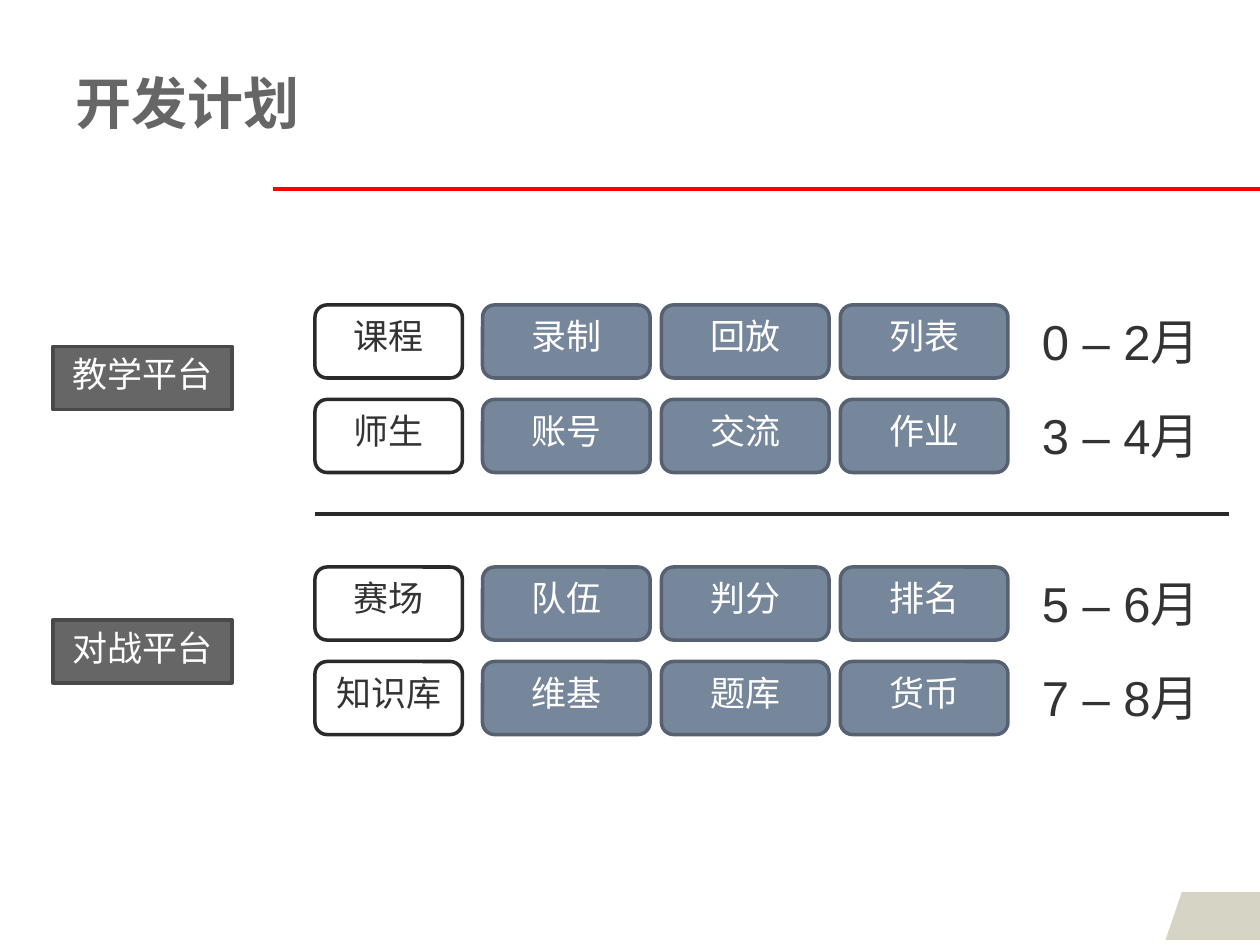
from dataclasses import dataclass

from lxml import etree
from pptx import Presentation
from pptx.dml.color import RGBColor
from pptx.enum.shapes import MSO_CONNECTOR, MSO_SHAPE
from pptx.enum.text import MSO_ANCHOR, MSO_AUTO_SIZE, PP_ALIGN
from pptx.oxml.ns import qn
from pptx.util import Inches, Pt

RECT, ROUND = MSO_SHAPE.RECTANGLE, MSO_SHAPE.ROUNDED_RECTANGLE
LINE = MSO_CONNECTOR.STRAIGHT
LEFT, CENTER = PP_ALIGN.LEFT, PP_ALIGN.CENTER
TOP, MIDDLE = MSO_ANCHOR.TOP, MSO_ANCHOR.MIDDLE
FIXED, GROW = MSO_AUTO_SIZE.NONE, MSO_AUTO_SIZE.SHAPE_TO_FIT_TEXT


@dataclass(frozen=True)
class Theme:
    font: str = "Arial"
    gray: str = "666666"
    edge: str = "494949"
    ink: str = "333333"
    dark: str = "2A2A2A"
    blue: str = "77879B"
    rim: str = "566271"
    white: str = "FFFFFF"
    red: str = "FF0000"
    sand: str = "C6C3AB"
    head: int = 32
    date: int = 28
    label: int = 20
    stroke: float = 2


THEME = Theme()

# Fill, line and text colour of each kind of box
STAGE = (THEME.gray, THEME.edge, THEME.white)
TOPIC = (THEME.white, THEME.dark, THEME.ink)
TASK = (THEME.blue, THEME.rim, THEME.white)

# Stage name, label top, top of first row, rows of topic, tasks and months
PLAN = [
    ("教学平台", 2.75, 2.42, [
        ("课程", ["录制", "回放", "列表"], "0 – 2月"),
        ("师生", ["账号", "交流", "作业"], "3 – 4月"),
    ]),
    ("对战平台", 4.92, 4.5, [
        ("赛场", ["队伍", "判分", "排名"], "5 – 6月"),
        ("知识库", ["维基", "题库", "货币"], "7 – 8月"),
    ]),
]
ROW_STEP, TASK_STEP = 0.75, 1.42


def rgb(code):
    return RGBColor.from_string(code)


def write(shape, text, size, color, align=LEFT, anchor=TOP, fit=FIXED,
          bold=False, wrap=True):
    frame = shape.text_frame
    frame.text = text
    layout = {
        "word_wrap": wrap, "auto_size": fit, "vertical_anchor": anchor,
        "margin_left": Inches(0.1), "margin_right": Inches(0.1),
        "margin_top": Inches(0.05), "margin_bottom": Inches(0.05),
    }
    for key, value in layout.items():
        setattr(frame, key, value)
    para = frame.paragraphs[0]
    para.alignment = align
    font = para.runs[0].font
    look = {"name": THEME.font, "size": Pt(size), "bold": bold}
    for key, value in look.items():
        setattr(font, key, value)
    font.color.rgb = rgb(color)
    return para


def add_box(slide, kind, area, text, style):
    fill, edge, ink = style
    box = slide.shapes.add_shape(kind, *map(Inches, area))
    box.shadow.inherit = False
    box.fill.solid()
    box.fill.fore_color.rgb = rgb(fill)
    box.line.color.rgb = rgb(edge)
    box.line.width = Pt(THEME.stroke)
    write(box, text, THEME.label, ink, align=CENTER)


def add_rule(slide, left, right, y, color, width):
    ends = map(Inches, (left, y, right, y))
    rule = slide.shapes.add_connector(LINE, *ends)
    rule.line.color.rgb = rgb(color)
    rule.line.width = Pt(width)
    etree.SubElement(rule._element.spPr, qn("a:effectLst"))


def add_corner(slide):
    pen = slide.shapes.build_freeform(Inches(9.38), Inches(7.08), scale=1.0)
    points = [(9.25, 7.46), (10, 7.46), (10, 7.08)]
    pen.add_line_segments([(Inches(x), Inches(y)) for x, y in points])
    corner = pen.convert_to_shape()
    corner.shadow.inherit = False
    corner.fill.solid()
    corner.fill.fore_color.rgb = rgb(THEME.sand)
    corner.line.fill.background()
    tint = corner._element.spPr.find(qn("a:solidFill"))[0]
    etree.SubElement(tint, qn("a:alpha"), val="70000")


def add_title(slide, text):
    title = slide.shapes.title
    area = {"left": 0.5, "top": 0.3, "width": 9, "height": 1.11}
    for key, value in area.items():
        setattr(title, key, Inches(value))
    para = write(title, text, THEME.head, THEME.gray, anchor=MIDDLE, bold=True)
    para.line_spacing = 0.85


def add_row(slide, top, topic, tasks, months):
    add_box(slide, ROUND, (2.5, top, 1.17, 0.58), topic, TOPIC)
    for i, task in enumerate(tasks):
        left = 3.83 + i * TASK_STEP
        add_box(slide, ROUND, (left, top, 1.33, 0.58), task, TASK)
    area = map(Inches, (8.17, top, 1.58, 0.57))
    box = slide.shapes.add_textbox(*area)
    write(box, months, THEME.date, THEME.ink, fit=GROW)


def main():
    deck = Presentation()
    deck.slide_width, deck.slide_height = Inches(10), Inches(7.5)
    slide = deck.slides.add_slide(deck.slide_layouts[5])

    # Page frame
    add_rule(slide, 2.17, 10, 1.5, THEME.red, 1.75)
    add_corner(slide)
    add_title(slide, "开发计划")

    # Stages with their rows
    for stage, y, top, rows in PLAN:
        add_box(slide, RECT, (0.42, y, 1.42, 0.5), stage, STAGE)
        for i, row in enumerate(rows):
            add_row(slide, top + i * ROW_STEP, *row)

    # Divider between stages
    add_rule(slide, 2.5, 9.75, 4.08, THEME.dark, THEME.stroke)
    deck.save("out.pptx")


if __name__ == "__main__":
    main()
